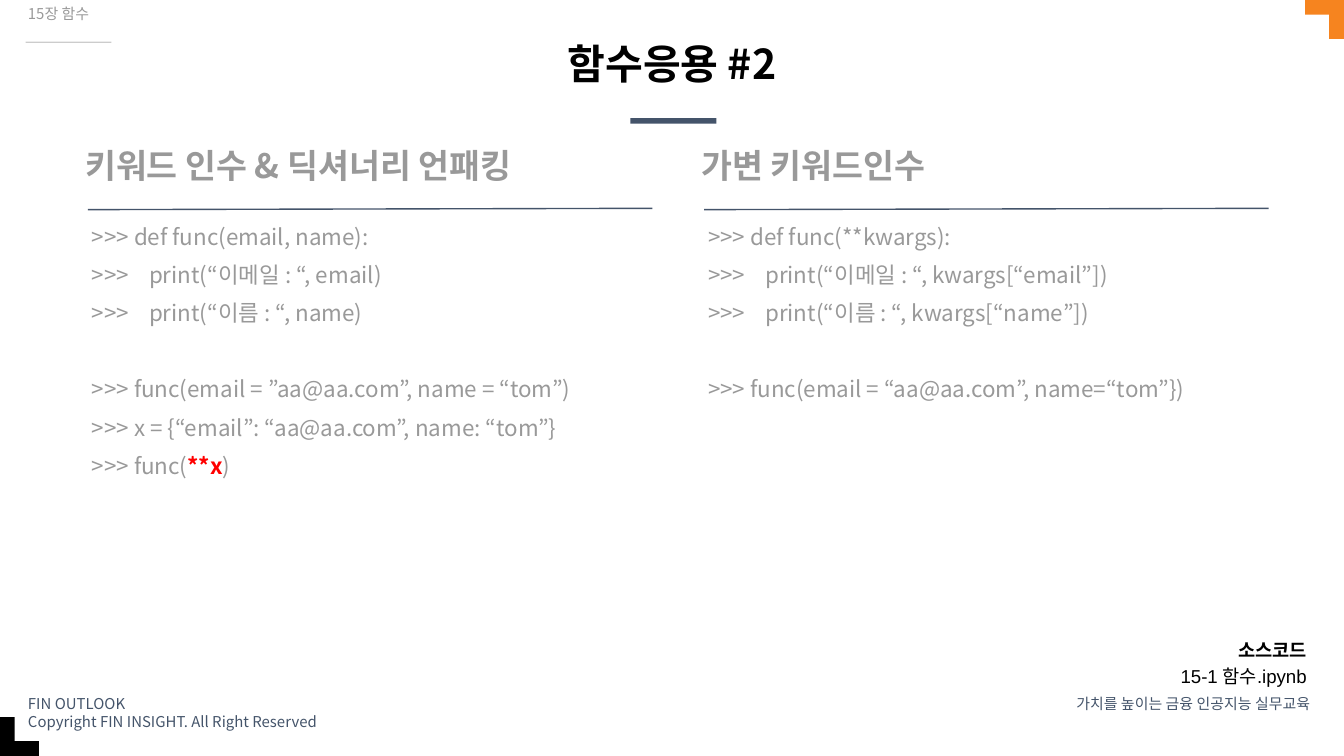
from dataclasses import dataclass, replace
from typing import Any

from lxml.etree import SubElement
from pptx import Presentation
from pptx.dml.color import RGBColor
from pptx.enum.shapes import MSO_CONNECTOR, MSO_SHAPE
from pptx.enum.text import MSO_ANCHOR, PP_ALIGN
from pptx.oxml.ns import qn
from pptx.util import Inches, Pt

COLUMNS, ROWS = 100, 56.25
NAVY, GRAY, BLACK, ORANGE = "44546A", "999999", "000000", "F6841F"
CODE_SPACING, CODE_BREAK = 7.5, 28


@dataclass(frozen=True)
class Box:
    column: float
    row: float
    columns: float
    rows: float


@dataclass(frozen=True)
class Style:
    size: float
    color: str
    bold: bool = False
    font: str = "Noto Sans CJK KR"


@dataclass(frozen=True)
class Line:
    runs: tuple[tuple[str, Style], ...]
    space_before: float = 0


@dataclass(frozen=True)
class Layout:
    align: PP_ALIGN = PP_ALIGN.LEFT
    line_spacing: float = 1.0
    inset_x: float = 1
    inset_y: float = 0.5


@dataclass(frozen=True)
class Topic:
    heading: str
    code: tuple[Line, ...]


presentation = Presentation()
presentation.slide_width = Inches(10)
presentation.slide_height = presentation.slide_width * 9 // 16
slide = presentation.slides.add_slide(presentation.slide_layouts[6])


def color_of(value: str) -> RGBColor:
    return RGBColor.from_string(value)


def across(columns: float) -> int:
    return round(presentation.slide_width * columns / COLUMNS)


def down(rows: float) -> int:
    return round(presentation.slide_height * rows / ROWS)


def frame(box: Box) -> tuple[int, int, int, int]:
    return across(box.column), down(box.row), across(box.columns), down(box.rows)


def apply(target: Any, values: dict[str, Any]) -> None:
    for name, value in values.items():
        setattr(target, name, value)


def add_block(box: Box, color: str) -> None:
    shape = slide.shapes.add_shape(MSO_SHAPE.RECTANGLE, *frame(box))
    shape.shadow.inherit = False
    shape.fill.solid()
    shape.fill.fore_color.rgb = color_of(color)
    shape.line.fill.background()


def add_rule(column: float, row: float, columns: float, rise: float) -> None:
    connector = slide.shapes.add_connector(
        MSO_CONNECTOR.STRAIGHT, across(column), down(row),
        across(column + columns), down(row - rise))
    connector.line.color.rgb = color_of(NAVY)
    connector.line.width = Pt(0.75)
    SubElement(connector._element.spPr, qn("a:effectLst"))


def add_text(box: Box, lines: tuple[Line, ...], layout: Layout) -> None:
    text_frame = slide.shapes.add_textbox(*frame(box)).text_frame
    apply(text_frame, {
        "word_wrap": True, "vertical_anchor": MSO_ANCHOR.TOP,
        "margin_left": across(layout.inset_x), "margin_right": across(layout.inset_x),
        "margin_top": down(layout.inset_y), "margin_bottom": down(layout.inset_y)})
    for index, line in enumerate(lines):
        paragraph = text_frame.add_paragraph() if index else text_frame.paragraphs[0]
        apply(paragraph, {"alignment": layout.align, "line_spacing": layout.line_spacing})
        if index:
            paragraph.space_before = Pt(line.space_before)
        for text, style in line.runs:
            run = paragraph.add_run()
            run.text = text
            apply(run.font, {"size": Pt(style.size), "bold": style.bold, "name": style.font})
            run.font.color.rgb = color_of(style.color)
            SubElement(run.font._element, qn("a:ea"), typeface=style.font)


def plain(style: Style, *texts: str) -> tuple[Line, ...]:
    return tuple(Line(((text, style),)) for text in texts)


CODE = Style(12, GRAY)
HIGHLIGHT = Style(12, "FF0000", True)
FOOTER = Style(8, NAVY)
SOURCE = Style(10, BLACK, True, "Arial")
TIGHT = Layout(line_spacing=0.9)


def code(text: str, space_before: float = CODE_SPACING) -> Line:
    return Line(((text, CODE),), space_before)


TOPICS = (
    Topic("키워드 인수 & 딕셔너리 언패킹", (
        code(">>> def func(email, name):"),
        code(">>>    print(“이메일 : “, email)"),
        code(">>>    print(“이름 : “, name)"),
        code(">>> func(email = ”aa@aa.com”, name = “tom”)", CODE_BREAK),
        code(">>> x = {“email”: “aa@aa.com”, name: “tom”}"),
        Line(((">>> func(", CODE), ("**x", HIGHLIGHT), (")", CODE)), CODE_SPACING))),
    Topic("가변 키워드인수", (
        code(">>> def func(**kwargs):"),
        code(">>>    print(“이메일 : “, kwargs[“email”])"),
        code(">>>    print(“이름 : “, kwargs[“name”])"),
        code(">>> func(email = “aa@aa.com”, name=“tom”})", CODE_BREAK))),
)
TOPIC_LEFT, TOPIC_PITCH = 5.35, 45.85
ARM, THICKNESS = 2.9, 1.1

BLOCKS = (
    (Box(46.9, 8.8, 6.4, 0.4), NAVY),
    (Box(1.9, 3.1, 6.4, 0.1), "CCCCCC"),
    (Box(0, ROWS - THICKNESS, ARM, THICKNESS), BLACK),
    (Box(0, ROWS - ARM, THICKNESS, ARM), BLACK),
    (Box(COLUMNS - ARM, 0, ARM, THICKNESS), ORANGE),
    (Box(COLUMNS - THICKNESS, 0, THICKNESS, ARM), ORANGE),
)
TEXTS = (
    (Box(1.1, 51.2, 29.8, 2.7),
     plain(FOOTER, "FIN OUTLOOK", "Copyright FIN INSIGHT. All Right Reserved"), Layout()),
    (Box(77.6, 51.2, 20.9, 1.7),
     plain(FOOTER, "가치를 높이는 금융 인공지능 실무교육"), Layout(PP_ALIGN.RIGHT)),
    (Box(10.9, 3.1, 78.2, 4),
     plain(Style(22, BLACK, True), "함수응용 #2"), Layout(PP_ALIGN.CENTER, 0.9, 0.4, 0.2)),
    (Box(1.1, 0, 28.4, 4), plain(Style(8, GRAY), "15장 함수"), TIGHT),
    (Box(40.3, 46.3, 57.9, 9.1),
     plain(SOURCE, "소스코드") + plain(replace(SOURCE, bold=False), "15-1 함수.ipynb"),
     Layout(PP_ALIGN.RIGHT, 1.15, 1, 1)),
)

for box, color in BLOCKS:
    add_block(box, color)
for box, lines, layout in TEXTS:
    add_text(box, lines, layout)
for index, topic in enumerate(TOPICS):
    left = TOPIC_LEFT + index * TOPIC_PITCH
    add_text(Box(left, 10.6, 46.2, 4.8), plain(Style(18, GRAY, True), topic.heading), TIGHT)
    add_rule(left + 1.2, 15.6, 42, 0.1)
    add_text(Box(left + 0.5, 16.3, 40.4, 34.2), topic.code, TIGHT)

presentation.save("out.pptx")
